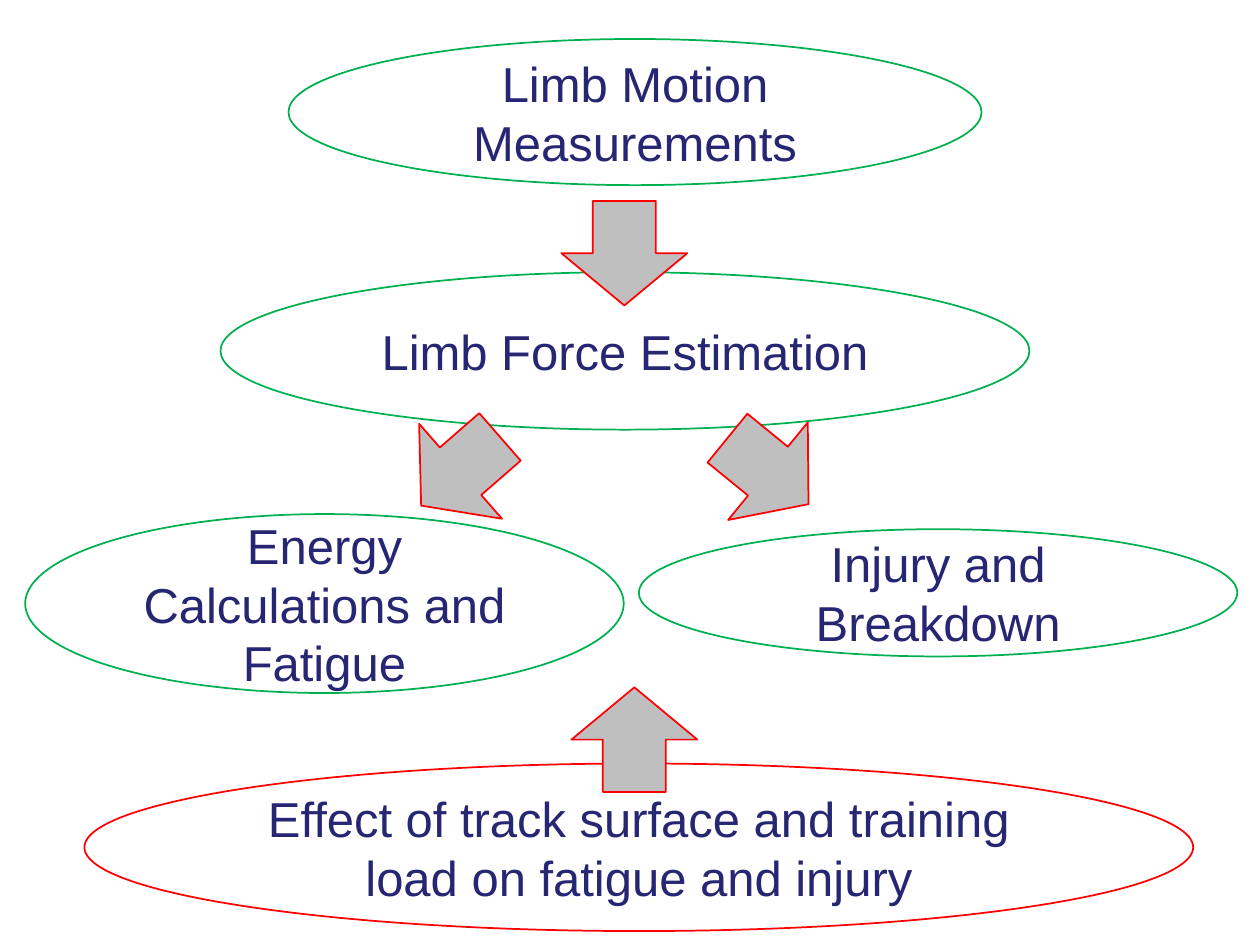
"""Build a flow diagram from limb motion measurements to fatigue and injury."""
from typing import NamedTuple

import pptx
import pptx.dml.color
import pptx.enum.shapes
import pptx.enum.text
import pptx.util
from pptx.util import Inches

COLORS = {
    "paper": "FFFFFF",
    "study": "00B050",
    "effect": "FF0000",
    "arrow": "BFBFBF",
    "wording": "262673",
}
ARROW_LENGTH, ARROW_WIDTH = 0.83, 1


class Stage(NamedTuple):
    wording: str
    left: float
    top: float
    width: float
    height: float
    outline: str = "study"


class Arrow(NamedTuple):
    left: float
    top: float
    angle: float


STAGES = [
    Stage("Limb Motion Measurements", 2.29, 0.31, 5.5, 1.16),
    Stage("Energy Calculations and Fatigue", 0.2, 4.08, 4.75, 1.42),
    Stage("Limb Force Estimation", 1.75, 2.16, 6.42, 1.25),
    Stage("Injury and Breakdown", 5.07, 4.2, 4.75, 1.01),
    Stage("Effect of track surface and training load on fatigue and injury",
          0.67, 6.06, 8.8, 1.33, "effect"),
]
ARROWS = [
    Arrow(4.54, 1.51, 90),
    Arrow(5.68, 3.24, 39.2),
    Arrow(3.24, 3.24, 138.9),
    Arrow(4.62, 5.37, 270),
]


def rgb(name: str) -> pptx.dml.color.RGBColor:
    """Return the named colour."""
    return pptx.dml.color.RGBColor.from_string(COLORS[name])


def add_outlined(slide, preset, left: float, top: float, width: float,
                 height: float, fill: str, outline: str):
    """Add a flat preset shape with a thin outline."""
    shape = slide.shapes.add_shape(
        preset, Inches(left), Inches(top), Inches(width), Inches(height))
    shape.shadow.inherit = False
    shape.fill.solid()
    shape.fill.fore_color.rgb = rgb(fill)
    shape.line.color.rgb = rgb(outline)
    shape.line.width = pptx.util.Pt(1)
    return shape


def draw_stage(slide, stage: Stage) -> None:
    """Draw one stage as a labelled ellipse."""
    ellipse = add_outlined(
        slide, pptx.enum.shapes.MSO_SHAPE.OVAL, stage.left, stage.top,
        stage.width, stage.height, "paper", stage.outline)
    frame = ellipse.text_frame
    frame.word_wrap = True
    frame.vertical_anchor = pptx.enum.text.MSO_ANCHOR.MIDDLE
    paragraph = frame.paragraphs[0]
    paragraph.alignment = pptx.enum.text.PP_ALIGN.CENTER
    run = paragraph.add_run()
    run.text = stage.wording
    run.font.name = "Arial"
    run.font.size = pptx.util.Pt(28)
    run.font.color.rgb = rgb("wording")


def draw_arrow(slide, arrow: Arrow) -> None:
    """Draw one block arrow turned to its angle."""
    block = add_outlined(
        slide, pptx.enum.shapes.MSO_SHAPE.RIGHT_ARROW, arrow.left, arrow.top,
        ARROW_LENGTH, ARROW_WIDTH, "arrow", "effect")
    block.rotation = arrow.angle


def main() -> None:
    """Build and save the slide."""
    deck = pptx.Presentation()
    deck.slide_width, deck.slide_height = Inches(10), Inches(7.5)
    slide = deck.slides.add_slide(deck.slide_layouts[6])
    for stage in STAGES:
        draw_stage(slide, stage)
    for arrow in ARROWS:
        draw_arrow(slide, arrow)
    deck.save("out.pptx")


if __name__ == "__main__":
    main()
